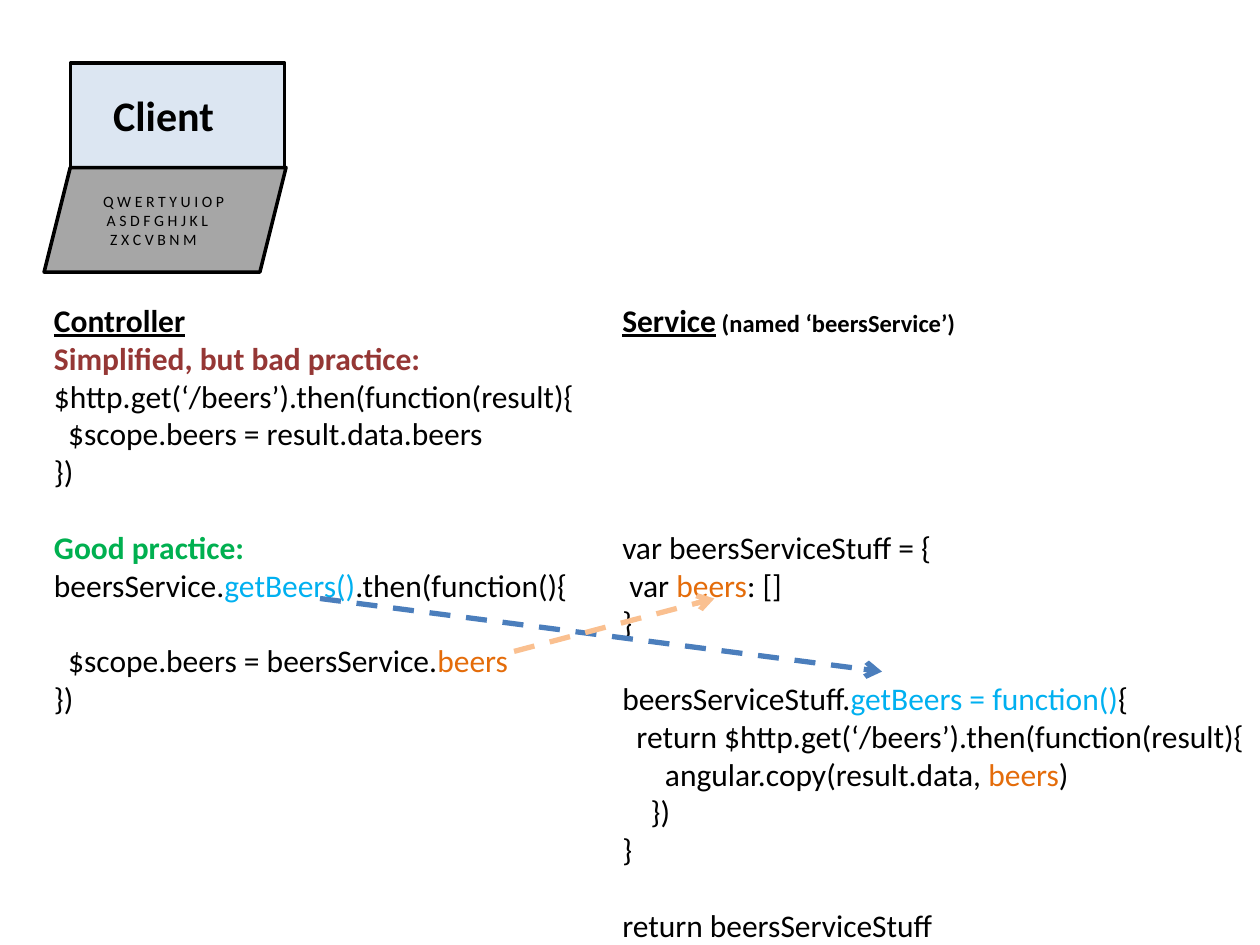
from lxml.etree import SubElement
from pptx import Presentation
from pptx.dml.color import RGBColor
from pptx.enum.dml import MSO_LINE as Dash
from pptx.enum.shapes import MSO_CONNECTOR as Link, MSO_SHAPE as Shape
from pptx.enum.text import MSO_AUTO_SIZE as Fit
from pptx.oxml.ns import qn
from pptx.util import Inches, Pt

theme = {
    "font": "Calibri",
    "screen": "DCE6F2", "keys": "A6A6A6", "edge": "000000",
    "call": "4B7EBC", "data": "FAC090",
    "line": 21.6,   # height of one code line, points
    "space": 0.226,  # width of a space, share of the type size
}
# style: size, colour, bold, underline
styles = {
    "client": (24, "000000", True, False),
    "key": (9, "000000", False, False),
    "head": (18, "000000", True, True),
    "note": (14, "000000", True, False),
    "bad": (18, "953735", True, False),
    "good": (18, "00B050", True, False),
    "code": (18, "000000", False, False),
    "func": (18, "00B0F0", False, False),
    "beers": (18, "E46C0A", False, False),
}


def add_text(shapes, box, rows):
    """Add a text box; each row is (lines skipped above, indent in spaces, runs)."""
    area = shapes.add_textbox(*map(Inches, box))
    frame = area.text_frame
    frame.word_wrap = False
    frame.auto_size = Fit.SHAPE_TO_FIT_TEXT
    for i, (skip, indent, runs) in enumerate(rows):
        para = frame.add_paragraph() if i else frame.paragraphs[0]
        if skip:
            para.space_before = Pt(skip * theme["line"])
        if indent:
            width = indent * theme["space"] * styles[runs[0][1]][0]
            para._p.get_or_add_pPr().set("marL", str(Pt(width)))
        for text, style in runs:
            run = para.add_run()
            run.text = text
            size, color, bold, under = styles[style]
            font = run.font
            font.name, font.size = theme["font"], Pt(size)
            font.bold, font.underline = bold, under
            font.color.rgb = RGBColor.from_string(color)


deck = Presentation()
deck.slide_width, deck.slide_height = Inches(10), Inches(7.5)
slide = deck.slides.add_slide(deck.slide_layouts[6])

# Laptop
laptop = slide.shapes.add_group_shape().shapes
for kind, box, fill in [
    (Shape.ROUNDED_RECTANGLE, (0.56, 0.5, 1.7, 0.83), "screen"),
    (Shape.PARALLELOGRAM, (0.35, 1.33, 1.92, 0.83), "keys"),
]:
    part = laptop.add_shape(kind, *map(Inches, box))
    part.shadow.inherit = False
    part.fill.solid()
    part.fill.fore_color.rgb = RGBColor.from_string(theme[fill])
    part.line.color.rgb = RGBColor.from_string(theme["edge"])
    part.line.width = Pt(2)
    if kind == Shape.ROUNDED_RECTANGLE:
        part.adjustments[0] = 0

keys = ["Q W E R T Y U I O P", "A S D F G H J K L", "Z X C V B N M"]
add_text(laptop, (0.72, 1.47, 1.16, 0.56),
         [(0, i, [(row, "key")]) for i, row in enumerate(keys)])
add_text(laptop, (0.8, 0.66, 1.01, 0.5), [(0, 0, [("Client", "client")])])

# Code columns
add_text(slide.shapes, (0.33, 2.34, 4.38, 3.43), [
    (0, 0, [("Controller", "head")]),
    (0, 0, [("Simplified, but bad practice:", "bad")]),
    (0, 0, [("$http.get(‘/beers’).then(function(result){", "code")]),
    (0, 2, [("$scope.beers = result.data.beers", "code")]),
    (0, 0, [("})", "code")]),
    (1, 0, [("Good practice:", "good")]),
    (0, 0, [("beersService.", "code"), ("getBeers()", "func"),
            (".then(function(){", "code")]),
    (1, 2, [("$scope.beers = beersService.", "code"), ("beers", "beers")]),
    (0, 0, [("})", "code")]),
])
add_text(slide.shapes, (4.84, 2.34, 5.21, 5.25), [
    (0, 0, [("Service", "head"), (" (named ‘beersService’)", "note")]),
    (5, 0, [("var beersServiceStuff = {", "code")]),
    (0, 1, [("var ", "code"), ("beers", "beers"), (": []", "code")]),
    (0, 0, [("}", "code")]),
    (1, 0, [("beersServiceStuff.", "code"), ("getBeers = function()", "func"),
            ("{", "code")]),
    (0, 2, [("return $http.get(‘/beers’).then(function(result){", "code")]),
    (0, 6, [("angular.copy(result.data, ", "code"), ("beers", "beers"),
            (")", "code")]),
    (0, 4, [("})", "code")]),
    (0, 0, [("}", "code")]),
    (1, 0, [("return beersServiceStuff", "code")]),
])

# Arrows between the columns
for ends, color in [((2.54, 4.75, 7, 5.33), "call"),
                    ((4.08, 5.17, 5.67, 4.75), "data")]:
    arrow = slide.shapes.add_connector(Link.STRAIGHT, *map(Inches, ends))
    arrow.line.color.rgb = RGBColor.from_string(theme[color])
    arrow.line.width = Pt(3)
    arrow.line.dash_style = Dash.DASH
    SubElement(arrow.line._get_or_add_ln(), qn("a:tailEnd"), type="arrow")
    SubElement(arrow._element.spPr, qn("a:effectLst"))

deck.save("out.pptx")
